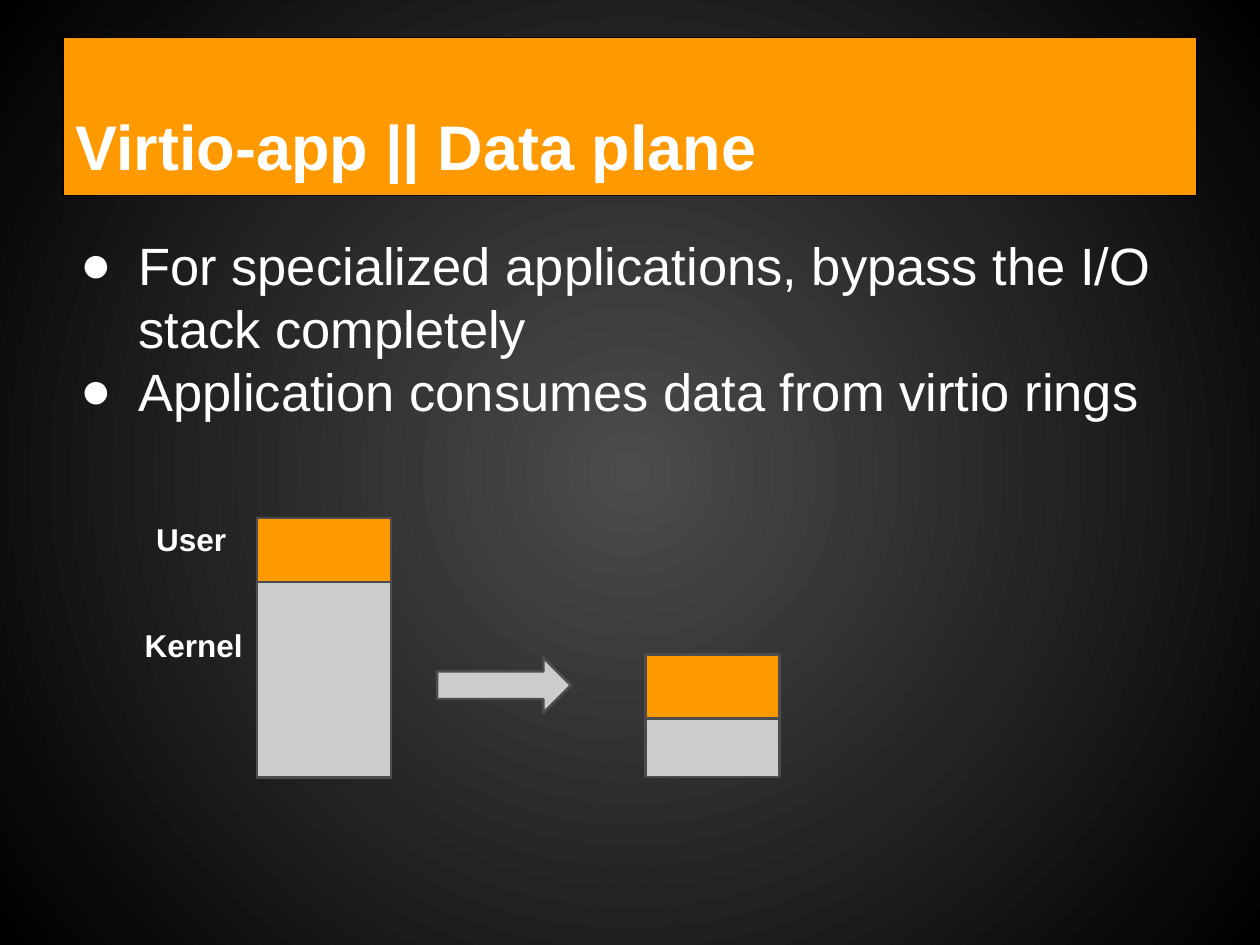
"""Build the slide on virtio-app as a data plane that bypasses the I/O stack."""
from dataclasses import dataclass

from lxml import etree
from pptx import Presentation
from pptx.dml.color import RGBColor
from pptx.enum.shapes import MSO_SHAPE
from pptx.enum.text import MSO_ANCHOR, PP_ALIGN
from pptx.oxml.ns import qn
from pptx.util import Pt

RECTANGLE = MSO_SHAPE.RECTANGLE
RIGHT_ARROW = MSO_SHAPE.RIGHT_ARROW
LEFT = PP_ALIGN.LEFT
TOP, BOTTOM = MSO_ANCHOR.TOP, MSO_ANCHOR.BOTTOM


@dataclass(frozen=True)
class Theme:
    font: str = "Arial"
    orange: RGBColor = RGBColor(0xFF, 0x99, 0x00)
    light: RGBColor = RGBColor(0xCC, 0xCC, 0xCC)
    dark: RGBColor = RGBColor(0x4C, 0x4C, 0x4C)
    white: RGBColor = RGBColor(0xFF, 0xFF, 0xFF)
    black: RGBColor = RGBColor(0x00, 0x00, 0x00)
    title_size: int = 36
    body_size: int = 30
    label_size: int = 18


theme = Theme()


def add_block(slide, kind, box, fill, line, line_width):
    shape = slide.shapes.add_shape(kind, *map(Pt, box))
    shape.shadow.inherit = False
    shape.fill.solid()
    shape.fill.fore_color.rgb = fill
    shape.line.color.rgb = line
    shape.line.width = Pt(line_width)
    return shape


def write_text(shape, lines, size, bold, anchor=TOP):
    frame = shape.text_frame
    frame.word_wrap = True
    frame.vertical_anchor = anchor
    frame.margin_left = frame.margin_right = Pt(7.2)
    frame.margin_top = frame.margin_bottom = Pt(7.2)
    frame.text = "\n".join(lines)
    for paragraph in frame.paragraphs:
        paragraph.alignment = LEFT
        paragraph.font.name = theme.font
        paragraph.font.size = Pt(size)
        paragraph.font.bold = bold
        paragraph.font.color.rgb = theme.white
    return frame


presentation = Presentation()
presentation.slide_width, presentation.slide_height = Pt(720), Pt(540)
slide = presentation.slides.add_slide(presentation.slide_layouts[6])

background = slide.background.fill
background.gradient()
for stop, color in zip(background.gradient_stops, (theme.dark, theme.black)):
    stop.color.rgb = color
gradient = slide.element.find(".//" + qn("a:gradFill"))
gradient.remove(gradient.find(qn("a:lin")))
circle = etree.SubElement(gradient, qn("a:path"), path="circle")
etree.SubElement(circle, qn("a:fillToRect"), l="50000", t="50000", r="50000", b="50000")

title = add_block(slide, RECTANGLE, (36, 21.6, 648, 90), theme.orange, theme.black, 0.75)
write_text(title, ["Virtio-app || Data plane"], theme.title_size, True, BOTTOM)

body = slide.shapes.add_textbox(Pt(36), Pt(126), Pt(648), Pt(391))
points = [
    "For specialized applications, bypass the I/O stack completely",
    "Application consumes data from virtio rings",
]
for paragraph in write_text(body, points, theme.body_size, False).paragraphs:
    properties = paragraph._p.get_or_add_pPr()
    properties.set("marL", str(Pt(36)))
    properties.set("indent", str(Pt(-33)))
    bullet_color = etree.Element(qn("a:buClr"))
    etree.SubElement(bullet_color, qn("a:srgbClr"), val=str(theme.white))
    bullet_font = etree.Element(qn("a:buFont"), typeface=theme.font)
    bullet = etree.Element(qn("a:buChar"), char="●")
    for position, element in enumerate((bullet_color, bullet_font, bullet)):
        properties.insert(position, element)

block_width, user_height = 76.5, 36.75
stacks = [(146.9, 296, 296, 148.2), (368.8, 373.9, 407, 37)]
arrow_box = (249.8, 375.8, block_width, 31.7)
labels = [("User", 82.1, 290.2), ("Kernel", 75.6, 350.6)]

for left, user_top, kernel_top, kernel_height in stacks:
    for top, height, fill in (
        (kernel_top, kernel_height, theme.light),
        (user_top, user_height, theme.orange),
    ):
        add_block(slide, RECTANGLE, (left, top, block_width, height), fill, theme.dark, 1.5)

add_block(slide, RIGHT_ARROW, arrow_box, theme.light, theme.dark, 1.5)

for text, left, top in labels:
    label = slide.shapes.add_textbox(Pt(left), Pt(top), Pt(87), Pt(31.7))
    write_text(label, [text], theme.label_size, True)

presentation.save("out.pptx")
